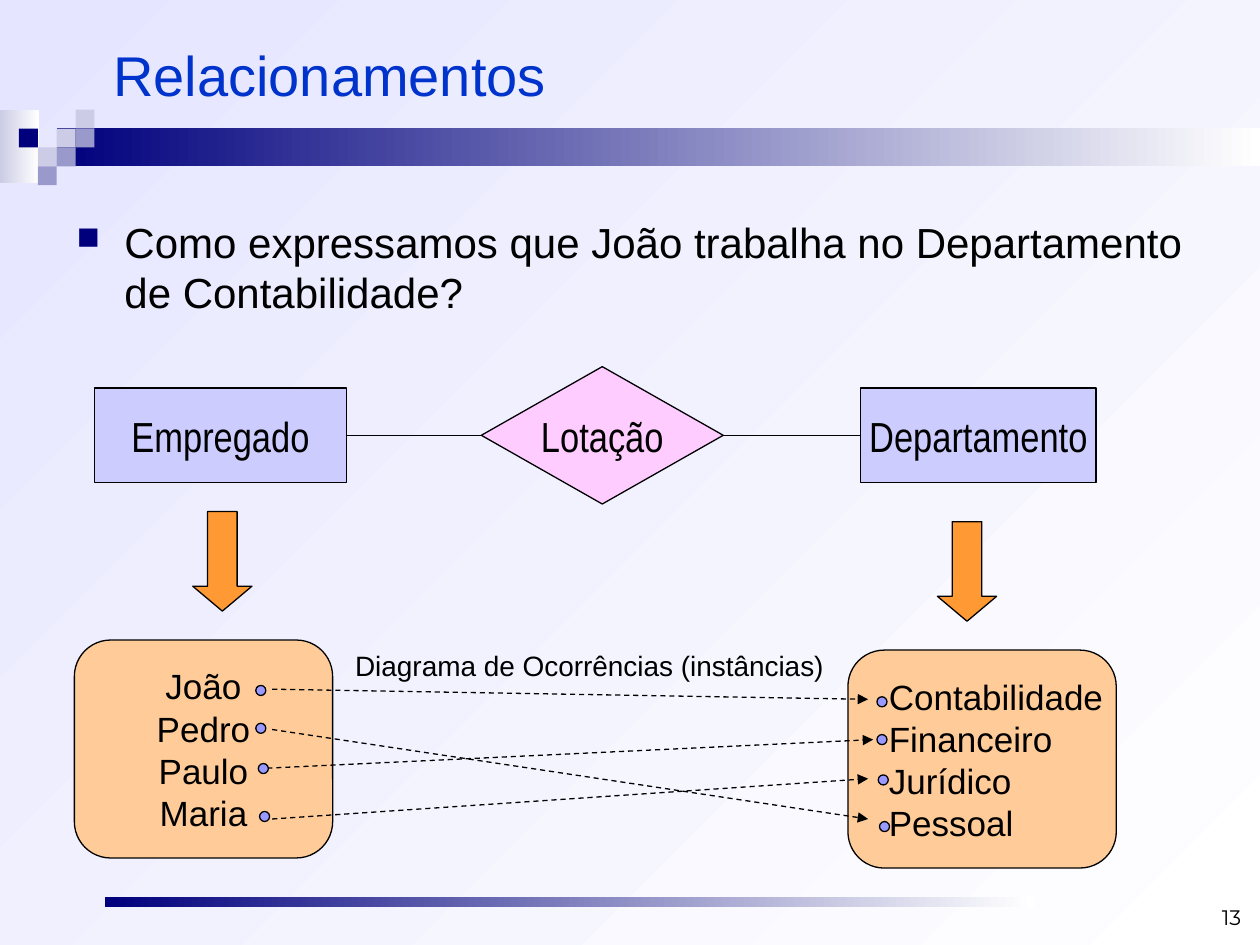
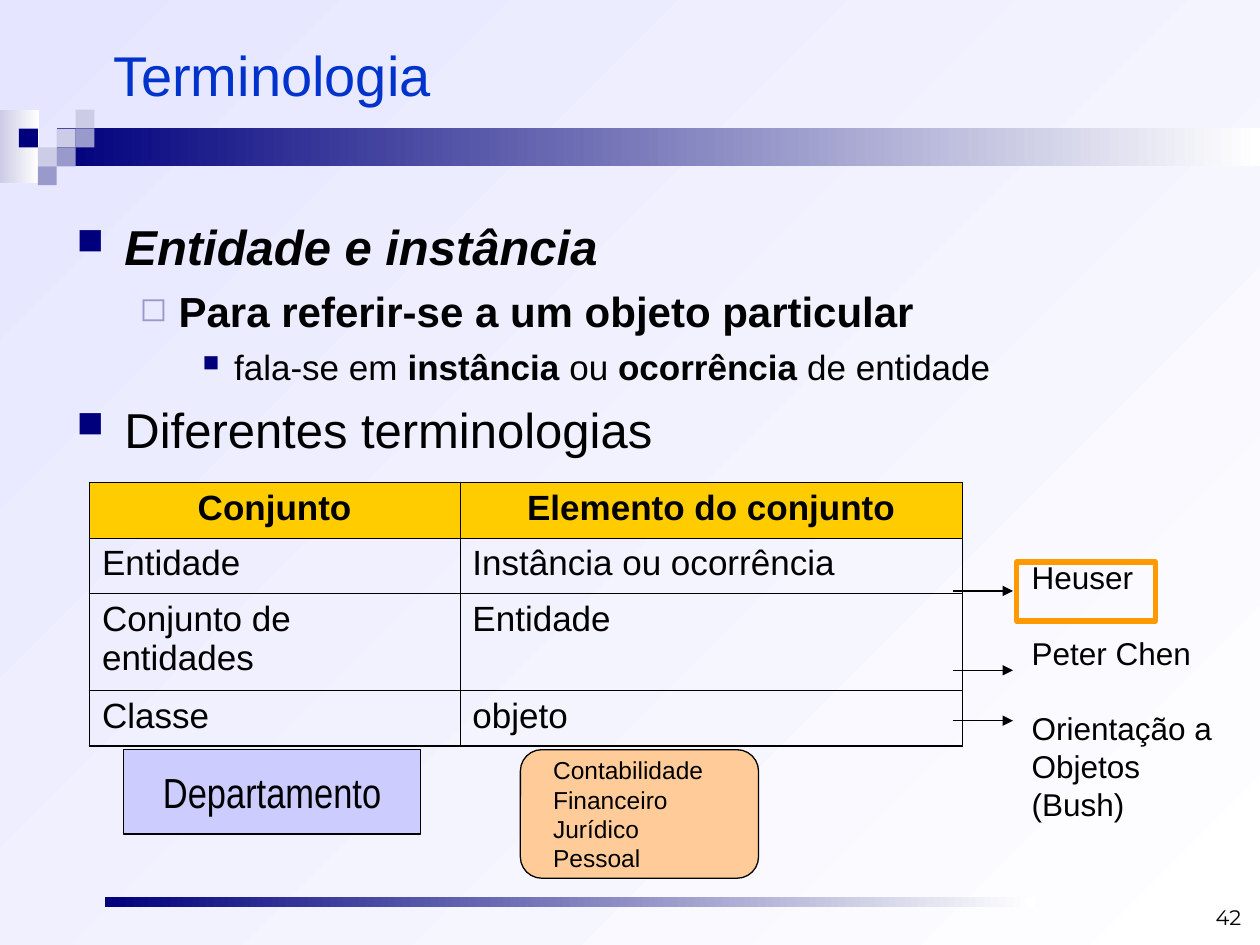
from lxml.etree import SubElement as Sub
from pptx import Presentation
from pptx.dml.color import RGBColor as RGB
from pptx.enum.dml import MSO_LINE
from pptx.enum.shapes import MSO_CONNECTOR, MSO_SHAPE as Kind
from pptx.enum.text import MSO_ANCHOR as Anchor, PP_ALIGN as Align
from pptx.oxml.ns import qn
from pptx.util import Inches, Pt

BLACK = RGB(0x00, 0x00, 0x00)
WHITE = RGB(0xFF, 0xFF, 0xFF)
BLUE = RGB(0x00, 0x33, 0xCC)
NAVY = RGB(0x00, 0x00, 0x7D)
SKY = RGB(0xE5, 0xE5, 0xFF)
PALE = RGB(0xCC, 0xCC, 0xE6)
MID = RGB(0x99, 0x99, 0xCC)
LILAC = RGB(0xCC, 0xCC, 0xFF)
PINK = RGB(0xFF, 0xCC, 0xFF)
PEACH = RGB(0xFF, 0xCC, 0x99)
ORANGE = RGB(0xFF, 0x99, 0x33)
AMBER = RGB(0xFF, 0x99, 0x00)
GOLD = RGB(0xFF, 0xCC, 0x00)
DOT = RGB(0x99, 0x99, 0xFF)

SANS, NARROW, NUMBER = "Arial", "Arial Narrow", "Montserrat"
CELL = 0.15
TILES = [(3, 1, PALE), (4, 0, PALE), (4, 1, MID), (2, 2, PALE),
         (1, 1, NAVY), (3, 2, MID), (2, 3, MID)]
# size, margin, hang, glyph, glyph colour, glyph percent, space before
LEVELS = [(28, 0.38, 0.38, "■", NAVY, 75, 7),
          (24, 0.81, 0.31, "◻", MID, 80, 6),
          (20, 1.25, 0.25, "■", NAVY, 65, 5)]
UNITS = ["Contabilidade", "Financeiro", "Jurídico", "Pessoal"]


def style(font, size, color=BLACK, face=SANS, bold=False, slant=False):
    font.name, font.size, font.color.rgb = face, Pt(size), color
    font.bold, font.italic = bold, slant


def blend(fill, start, end, angle=0):
    fill.gradient()
    fill.gradient_angle = angle
    for stop, color in zip(fill.gradient_stops, (start, end)):
        stop.color.rgb = color


def shape(slide, kind, x, y, w, h, fill=None, line=None, width=0.75):
    item = slide.shapes.add_shape(kind, Inches(x), Inches(y), Inches(w), Inches(h))
    item.shadow.inherit = False
    if fill is None:
        item.fill.background()
    else:
        item.fill.solid()
        item.fill.fore_color.rgb = fill
    if line is None:
        item.line.fill.background()
    else:
        item.line.color.rgb = line
        item.line.width = Pt(width)
    return item


def write(item, text, size, align=Align.LEFT, anchor=Anchor.MIDDLE,
          face=SANS, color=BLACK, wrap=False):
    frame = item.text_frame
    frame.text = text
    frame.word_wrap = wrap
    frame.vertical_anchor = anchor
    for para in frame.paragraphs:
        para.alignment = align
        for run in para.runs:
            style(run.font, size, color, face)
    return frame


def label(slide, text, x, y, w, h, size, **look):
    box = slide.shapes.add_textbox(Inches(x), Inches(y), Inches(w), Inches(h))
    return write(box, text, size, **look)


def fade(slide, x, y, w, h, color):
    """Add a bar that fades to white on the right."""
    blend(shape(slide, Kind.RECTANGLE, x, y, w, h).fill, color, WHITE)


def entity(slide, text, x, y, w, h, kind=Kind.RECTANGLE, fill=LILAC):
    item = shape(slide, kind, x, y, w, h, fill, BLACK)
    write(item, text, 24, Align.CENTER, face=NARROW)
    return item


def group(slide, names, x, y, w, h, size, align=Align.LEFT, inset=0.1):
    """Add a rounded box that lists the members of a set."""
    item = shape(slide, Kind.ROUNDED_RECTANGLE, x, y, w, h, PEACH, BLACK)
    frame = write(item, "\n".join(names), size, align, wrap=True)
    frame.margin_left = Inches(inset)
    frame.margin_right = Inches(0.1 if align == Align.CENTER else 0)


def link(slide, x1, y1, x2, y2, dash=False, head=True):
    line = slide.shapes.add_connector(
        MSO_CONNECTOR.STRAIGHT, Inches(x1), Inches(y1), Inches(x2), Inches(y2))
    line.line.color.rgb = BLACK
    line.line.width = Pt(0.75)
    if dash:
        line.line.dash_style = MSO_LINE.DASH
    props = line._element.spPr
    if head:
        Sub(props.find(qn("a:ln")), qn("a:tailEnd"), type="triangle")
    Sub(props, qn("a:effectLst"))
    return line


def join(slide, left, right):
    line = link(slide, 0, 0, 1, 1, head=False)
    line.begin_connect(left, 3)
    line.end_connect(right, 1)


def bullet(para, margin, hang, glyph, color, percent):
    props = para._p.get_or_add_pPr()
    props.set("marL", str(Inches(margin)))
    props.set("indent", str(-Inches(hang)))
    Sub(Sub(props, qn("a:buClr")), qn("a:srgbClr"), val=str(color))
    Sub(props, qn("a:buSzPct"), val=str(percent * 1000))
    Sub(props, qn("a:buChar"), char=glyph)


def body(slide, items, size=None):
    """Add bullets; each item is a level and runs of (text, bold, italic)."""
    box = slide.shapes.add_textbox(Inches(0.51), Inches(1.67), Inches(9), Inches(2.1))
    frame = box.text_frame
    frame.word_wrap = True
    for i, (level, runs) in enumerate(items):
        para = frame.add_paragraph() if i else frame.paragraphs[0]
        points, margin, hang, glyph, color, percent, gap = LEVELS[level]
        para.level = level
        bullet(para, margin, hang, glyph, color, percent)
        if i:
            para.space_before = Pt(gap)
        for text, bold, slant in runs:
            run = para.add_run()
            run.text = text
            style(run.font, size or points, bold=bold, slant=slant)


def edge(cell, side, width):
    line = Sub(cell._tc.get_or_add_tcPr(), qn("a:ln" + side), w=str(Pt(width)))
    Sub(Sub(line, qn("a:solidFill")), qn("a:srgbClr"), val=str(BLACK))


def grid(slide, rows, x, y, widths, heights):
    table = slide.shapes.add_table(
        len(rows), len(widths), Inches(x), Inches(y),
        Inches(sum(widths)), Inches(sum(heights))).table
    table.first_row = table.horz_banding = False
    for col, width in zip(table.columns, widths):
        col.width = Inches(width)
    for row, height in zip(table.rows, heights):
        row.height = Inches(height)
    for r, texts in enumerate(rows):
        for c, text in enumerate(texts):
            cell = table.cell(r, c)
            outer = {"L": c == 0, "R": c == len(widths) - 1,
                     "T": r == 0, "B": r == len(rows) - 1}
            for side, thick in outer.items():
                edge(cell, side, 1.08 if thick else 0.45)
            cell.text = text
            para = cell.text_frame.paragraphs[0]
            style(para.runs[0].font, 20, bold=r == 0)
            if r == 0:
                para.alignment = Align.CENTER
                cell.fill.solid()
                cell.fill.fore_color.rgb = GOLD
            else:
                cell.fill.background()


def start(deck, title, number):
    """Add a slide with the shared background, bands, title and number."""
    slide = deck.slides.add_slide(deck.slide_layouts[6])
    blend(slide.background.fill, SKY, WHITE, 315)
    fade(slide, 0, 0.87, 0.31, 0.58, PALE)
    fade(slide, 0.45, 1.02, 9.55, 0.3, NAVY)
    for col, row, color in TILES:
        shape(slide, Kind.RECTANGLE, CELL * col, 0.87 + CELL * row, CELL, CELL, color)
    fade(slide, 0.83, 7.12, 7.38, 0.08, NAVY)
    label(slide, title, 0.8, 0.22, 9, 0.73, 32, color=BLUE, wrap=True)
    label(slide, number, 7.62, 6.93, 2.33, 0.5, 12, align=Align.RIGHT,
          anchor=Anchor.BOTTOM, face=NUMBER, wrap=True)
    return slide


def relations(deck):
    slide = start(deck, "Relacionamentos", "13")
    ask = "Como expressamos que João trabalha no Departamento de Contabilidade?"
    body(slide, [(0, [(ask, False, False)])], 24)

    staff = entity(slide, "Empregado", 0.75, 3.08, 2, 0.75)
    unit = entity(slide, "Departamento", 6.83, 3.08, 1.87, 0.75)
    post = entity(slide, "Lotação", 3.82, 2.91, 1.92, 1.09,
                  Kind.FLOWCHART_DECISION, PINK)
    join(slide, staff, post)
    join(slide, post, unit)

    people = ["João", "Pedro", "Paulo", "Maria"]
    group(slide, people, 0.59, 5.08, 2.05, 1.73, 20, Align.CENTER)
    group(slide, UNITS, 6.73, 5.16, 2.13, 1.73, 20, inset=0.24)
    for x, y in [(1.53, 4.06), (7.44, 4.14)]:
        arrow = shape(slide, Kind.DOWN_ARROW, x, y, 0.47, 0.79, ORANGE, BLACK)
        arrow.adjustments[1] = 0.42

    for ends in [(2.16, 5.47, 6.89, 5.55), (2.16, 5.79, 6.89, 6.5),
                 (2.05, 6.1, 6.93, 5.87), (2.16, 6.5, 6.89, 6.18)]:
        link(slide, *ends, dash=True)
    for x, y in [(2.03, 5.44), (2.03, 5.74), (2.05, 6.06), (2.06, 6.44),
                 (6.96, 5.53), (6.96, 5.83), (6.97, 6.15), (6.98, 6.52)]:
        shape(slide, Kind.OVAL, x, y, 0.08, 0.08, DOT, BLACK)
    label(slide, "Diagrama de Ocorrências (instâncias)", 2.72, 5.1, 3.92, 0.37,
          16, anchor=Anchor.TOP)


def terms(deck):
    slide = start(deck, "Terminologia", "42")
    body(slide, [
        (0, [("Entidade e instância", True, True)]),
        (1, [("Para referir-se a um objeto particular", True, False)]),
        (2, [("fala-se em ", False, False), ("instância", True, False),
             (" ou ", False, False), ("ocorrência", True, False),
             (" de entidade", False, False)]),
        (0, [("Diferentes terminologias", False, False)])])
    grid(slide, [("Conjunto", "Elemento do conjunto"),
                 ("Entidade", "Instância ou ocorrência"),
                 ("Conjunto de entidades", "Entidade"),
                 ("Classe", "objeto")],
         0.71, 3.83, [2.94, 3.99], [0.44, 0.44, 0.77, 0.44])
    for y in (4.69, 5.32, 5.72):
        link(slide, 7.56, y, 8.04, y)

    names = ["Heuser", "Peter Chen", "Orientação a", "Objetos", "(Bush)"]
    frame = label(slide, "\n".join(names), 8.09, 4.38, 1.63, 2.2, 18,
                  anchor=Anchor.TOP)
    for para in frame.paragraphs[1:3]:
        para.space_before = Pt(21.6)
    shape(slide, Kind.RECTANGLE, 8.07, 4.46, 1.1, 0.47, line=AMBER, width=3)
    entity(slide, "Departamento", 0.98, 5.95, 2.36, 0.67)
    group(slide, UNITS, 4.13, 5.95, 1.89, 1.02, 14, inset=0.21)


def main():
    deck = Presentation()
    deck.slide_width, deck.slide_height = Inches(10), Inches(7.5)
    relations(deck)
    terms(deck)
    deck.save("out.pptx")


if __name__ == "__main__":
    main()
